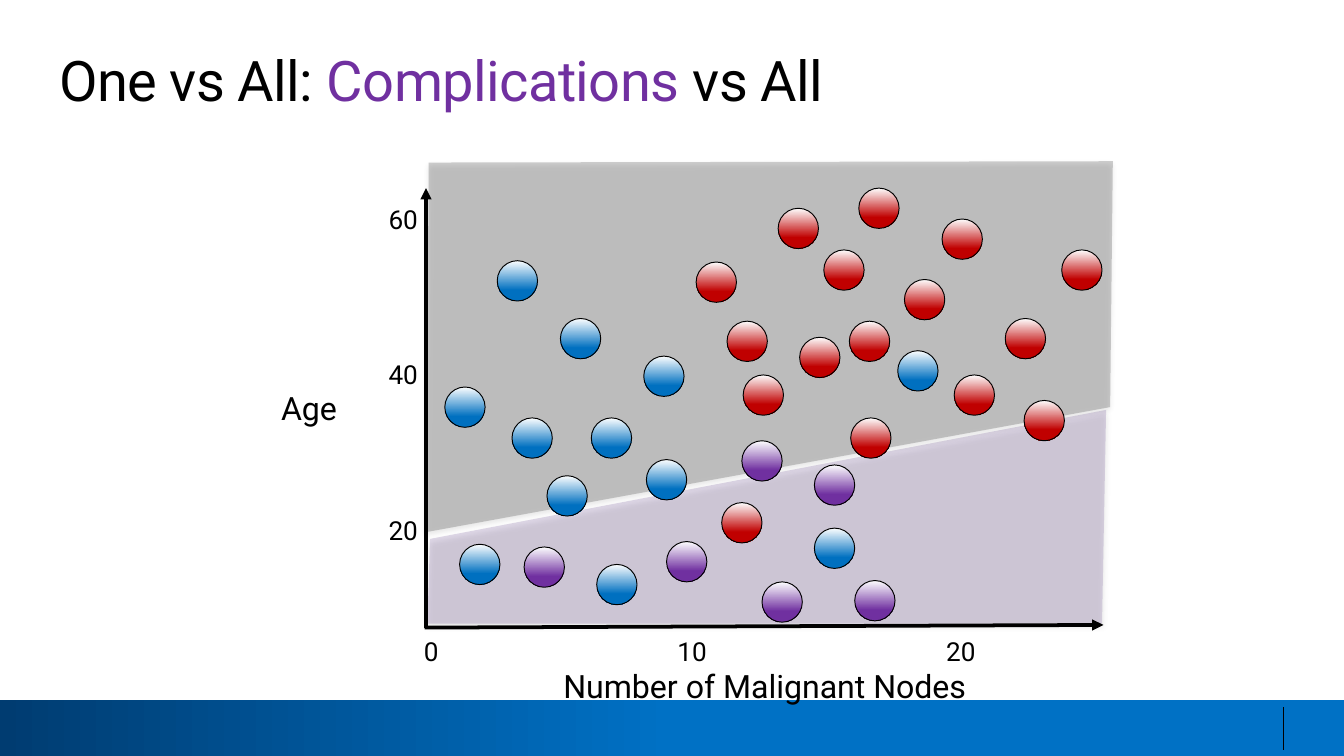
from dataclasses import dataclass

from pptx import Presentation
from pptx.dml.color import RGBColor
from pptx.enum.shapes import MSO_CONNECTOR, MSO_SHAPE
from pptx.enum.text import MSO_ANCHOR, MSO_AUTO_SIZE, PP_ALIGN
from pptx.oxml.ns import qn
from pptx.oxml.xmlchemy import OxmlElement
from pptx.util import Emu, Inches, Pt


@dataclass(frozen=True)
class Theme:
    font: str = "Roboto"
    ink: str = "000000"
    highlight: str = "FEFFFF"
    red: str = "C00000"
    blue: str = "0070C0"
    purple: str = "7030A0"
    complications_region: str = "8064A2"
    rest_region: str = "404040"
    band_dark: str = "003C71"
    band_light: str = "0071C5"
    title_size: float = 30
    label_size: float = 17.2
    tick_size: float = 14
    line_spacing: float = 28.5


THEME = Theme()

# The slide is a grid of 100 columns with square cells.
COLUMNS, ROWS = 100, 56.25
CELL = Inches(10) / COLUMNS
DOT = 3

# Dot centres as (column, row).
PATIENTS = {
    THEME.red: [
        (55.2, 38.9), (64.8, 32.6), (56.8, 29.4), (55.6, 25.4),
        (53.3, 21), (59.4, 17), (62.8, 20.1), (64.7, 25.4),
        (61, 26.6), (68.8, 22.3), (65.4, 15.5), (71.6, 17.8),
        (80.5, 20.1), (76.3, 25.2), (72.5, 29.4), (77.7, 31.3),
    ],
    THEME.blue: [
        (49.6, 35.7), (45.5, 32.6), (49.4, 28), (68.3, 27.6),
        (62.1, 40.8), (45.9, 43.5), (35.7, 42), (42.2, 36.9),
        (39.6, 32.6), (43.2, 25.2), (34.6, 30.3), (38.5, 20.9),
    ],
    THEME.purple: [
        (56.7, 34.3), (62.1, 36.1), (58.2, 44.8),
        (65.1, 44.7), (51.1, 41.8), (40.5, 42.2),
    ],
}


def cells(*counts):
    return [Emu(round(count * CELL)) for count in counts]


def color(value):
    return RGBColor.from_string(value)


def add_xml(parent, tag, **attributes):
    child = OxmlElement(tag)
    for name, value in attributes.items():
        child.set(name, str(value))
    parent.append(child)
    return child


def set_gradient(shape, start, end, share, angle):
    """Blend from start to end, reaching end at the given share of the shape."""
    shape.fill.gradient()
    shape.fill.gradient_angle = angle
    for stop, value, position in zip(shape.fill.gradient_stops, (start, end), (0, share)):
        stop.color.rgb = color(value)
        stop.position = position


def add_band(page):
    band = page.shapes.add_shape(MSO_SHAPE.RECTANGLE, *cells(0, 52.1, COLUMNS, ROWS - 52.1))
    band.shadow.inherit = False
    band.line.fill.background()
    set_gradient(band, THEME.band_dark, THEME.band_light, 0.5, 0)


def add_line(page, start, end, width, arrow=False):
    line = page.shapes.add_connector(MSO_CONNECTOR.STRAIGHT, *cells(*start, *end))
    line.line.width = Pt(width)
    line.line.color.rgb = color(THEME.ink)
    properties = line._element.spPr
    if arrow:
        add_xml(properties.find(qn("a:ln")), "a:tailEnd", type="triangle")
    add_xml(properties, "a:effectLst")


def add_region(page, corners, fill):
    """Draw a see-through decision region with a soft shadow."""
    points = [cells(*corner) for corner in corners]
    builder = page.shapes.build_freeform(*points[0])
    builder.add_line_segments(points[1:], close=True)
    region = builder.convert_to_shape()
    region.fill.solid()
    region.fill.fore_color.rgb = color(fill)
    region.line.fill.background()
    region.shadow.inherit = False
    properties = region._element.spPr
    add_xml(properties.find(qn("a:solidFill"))[0], "a:alpha", val=25000)
    shadow = add_xml(properties.find(qn("a:effectLst")), "a:outerShdw",
                     blurRad=Pt(3.1), dist=Pt(1.6), dir=90 * 60000, rotWithShape=0)
    add_xml(add_xml(shadow, "a:srgbClr", val=THEME.ink), "a:alpha", val=38000)


def add_text(page, area, spans, size, align=PP_ALIGN.LEFT, anchor=MSO_ANCHOR.TOP,
             line_spacing=None, tracking=None):
    """Write (text, colour) spans in one paragraph."""
    box = page.shapes.add_textbox(*cells(*area))
    frame = box.text_frame
    frame.word_wrap = True
    frame.auto_size = MSO_AUTO_SIZE.SHAPE_TO_FIT_TEXT
    frame.vertical_anchor = anchor
    frame.margin_left = frame.margin_top = frame.margin_right = frame.margin_bottom = 0
    para = frame.paragraphs[0]
    para.alignment = align
    if line_spacing:
        para.line_spacing = Pt(line_spacing)
    for text, ink in spans:
        span = para.add_run()
        span.text = text
        span.font.name = THEME.font
        span.font.size = Pt(size)
        span.font.color.rgb = color(ink)
        if tracking:
            span.font._element.set("spc", str(round(tracking * 100)))


def add_axis_label(page, text, area):
    add_text(page, area, [(text, THEME.ink)], THEME.label_size, PP_ALIGN.CENTER,
             line_spacing=THEME.line_spacing)


def add_tick(page, text, area, align):
    add_text(page, area, [(text, THEME.ink)], THEME.tick_size, align,
             MSO_ANCHOR.MIDDLE, THEME.line_spacing)


def add_axes(page):
    add_axis_label(page, "Number of Malignant Nodes", (38.8, 48.5, 36.2, 3.8))
    add_axis_label(page, "Age", (19.2, 27.8, 7.6, 3.8))
    for step, age in enumerate((60, 40, 20)):
        add_tick(page, str(age), (28.6, 13.7 + 11.55 * step, 2.5, 3.6), PP_ALIGN.RIGHT)
    for nodes, center in ((0, 32.1), (10, 51.5), (20, 71.5)):
        add_tick(page, str(nodes), (center - 1.5, 45.8, 3, 3.6), PP_ALIGN.CENTER)
    add_line(page, (31.7, 46.7), (31.7, 14), 2, arrow=True)
    add_line(page, (31.6, 46.7), (82.1, 46.5), 2, arrow=True)


def add_patient(page, center, fill):
    column, row = center
    dot = page.shapes.add_shape(
        MSO_SHAPE.OVAL, *cells(column - DOT / 2, row - DOT / 2, DOT, DOT))
    dot.shadow.inherit = False
    set_gradient(dot, THEME.highlight, fill, 0.73, 270)
    dot.line.color.rgb = color(THEME.ink)
    dot.line.width = Pt(0.5)


def main():
    deck = Presentation()
    deck.slide_width, deck.slide_height = cells(COLUMNS, ROWS)
    page = deck.slides.add_slide(deck.slide_layouts[6])

    add_band(page)
    add_line(page, (95.5, 52.6), (95.5, 55.8), 0.75)
    add_region(page, [(32, 40.1), (82.3, 30.5), (82, 46.4), (31.8, 46.4)],
               THEME.complications_region)
    add_region(page, [(31.7, 39.6), (82.6, 30.3), (82.8, 12), (31.9, 12.1)],
               THEME.rest_region)
    add_axes(page)
    for fill, centers in PATIENTS.items():
        for center in centers:
            add_patient(page, center, fill)
    add_text(page, (4.4, 3.4, 92.3, 5),
             [("One vs All: ", THEME.ink), ("Complications", THEME.purple),
              (" vs All", THEME.ink)],
             THEME.title_size, tracking=-0.3)

    deck.save("out.pptx")


if __name__ == "__main__":
    main()
